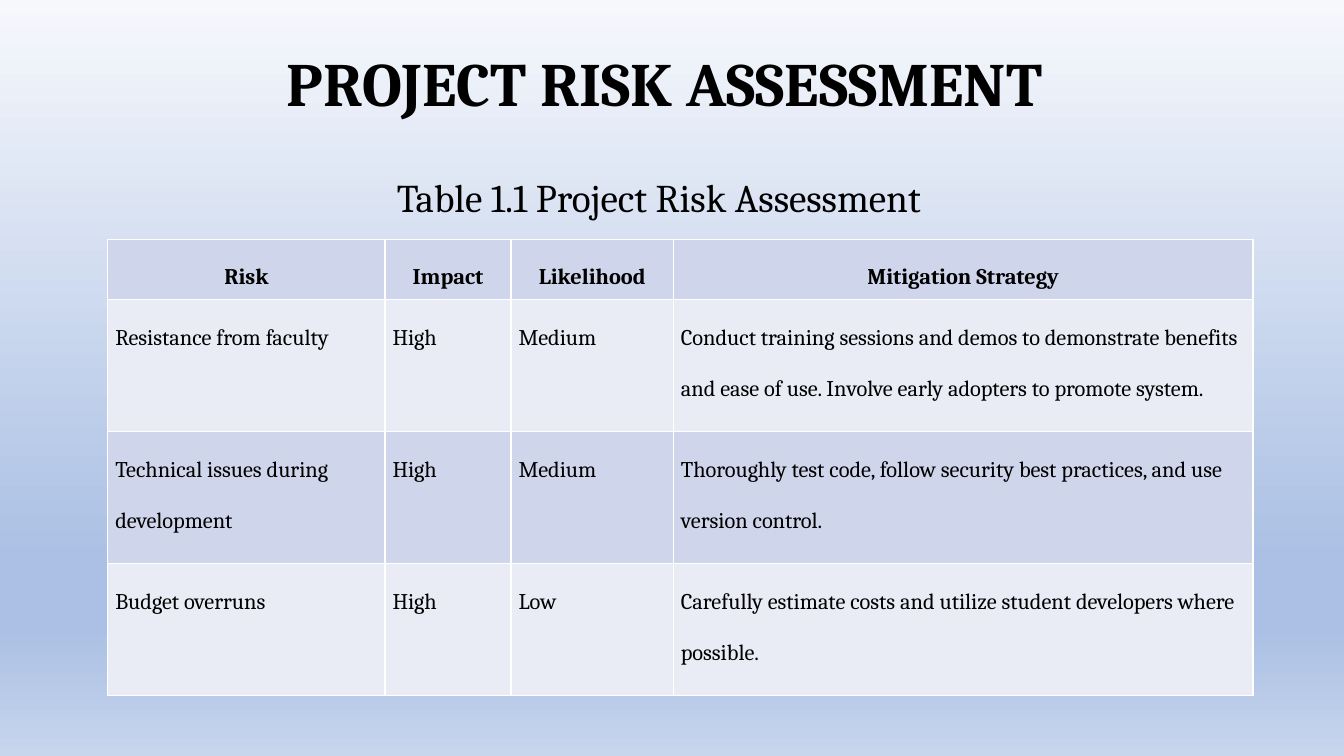
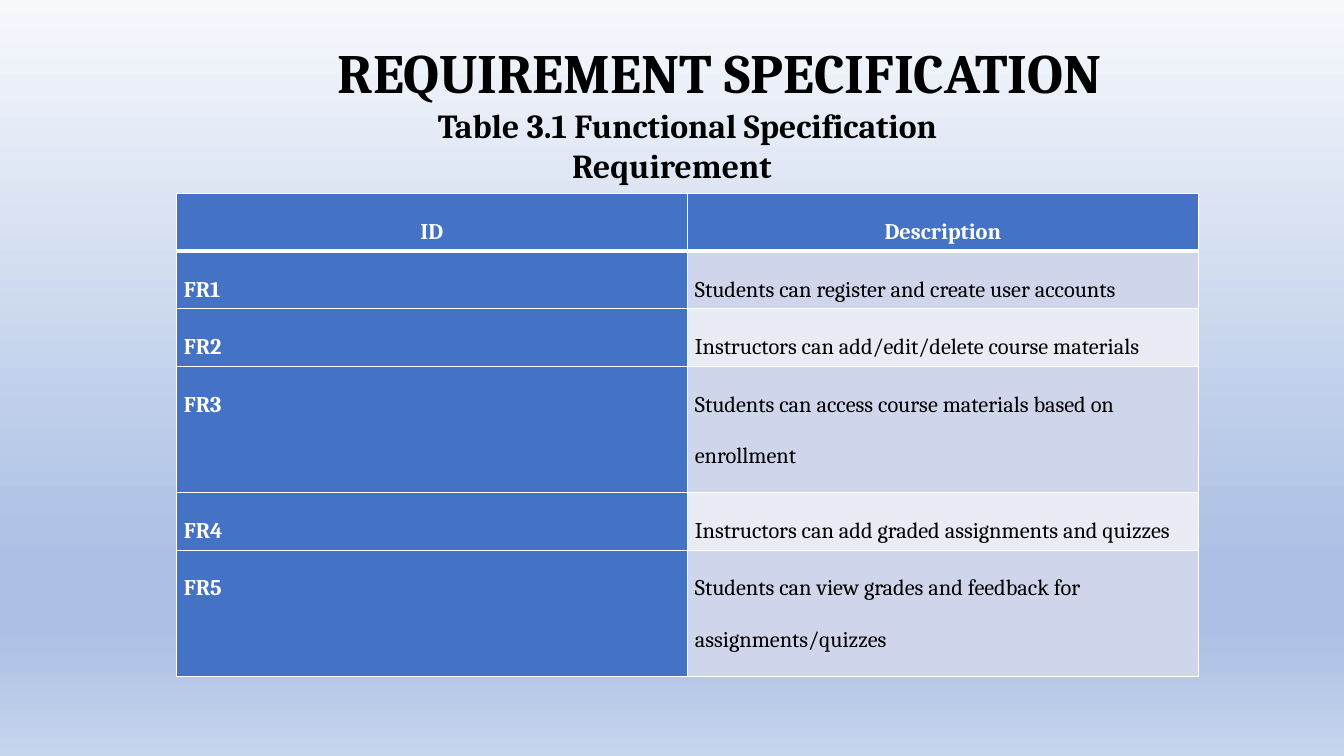
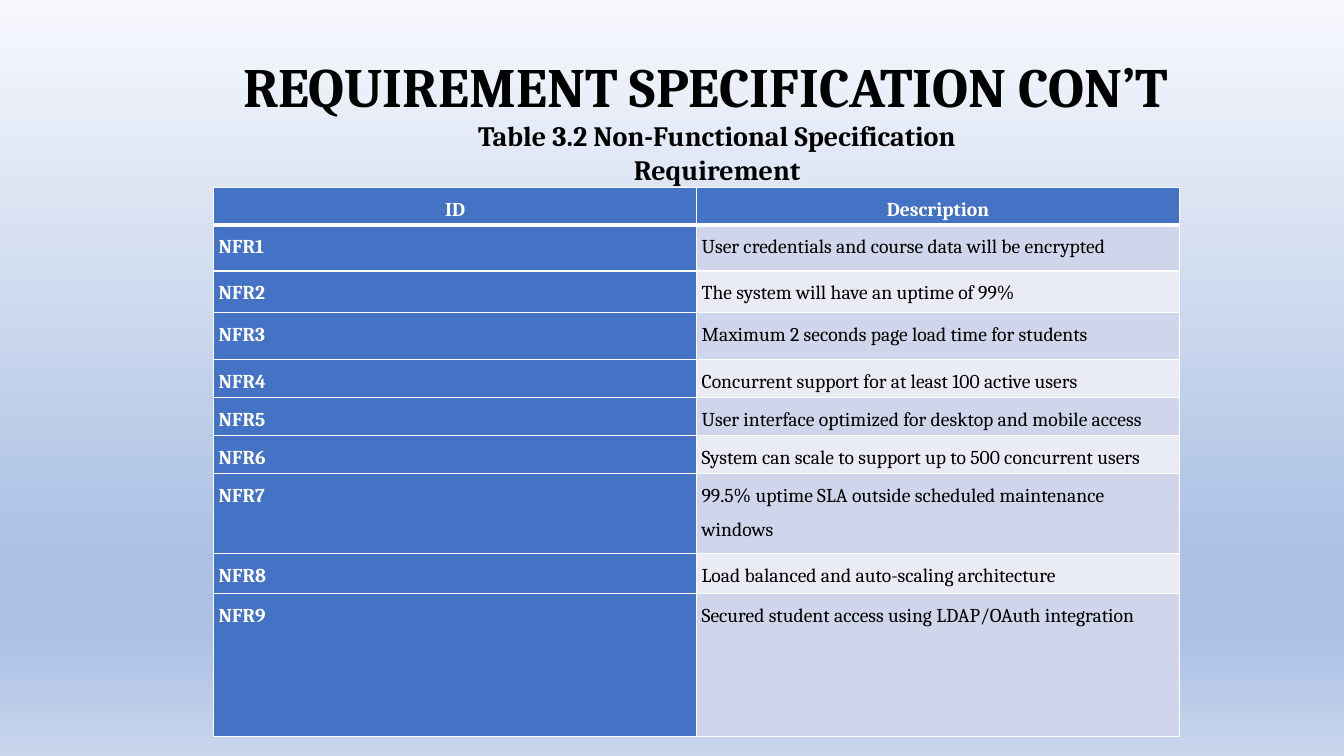
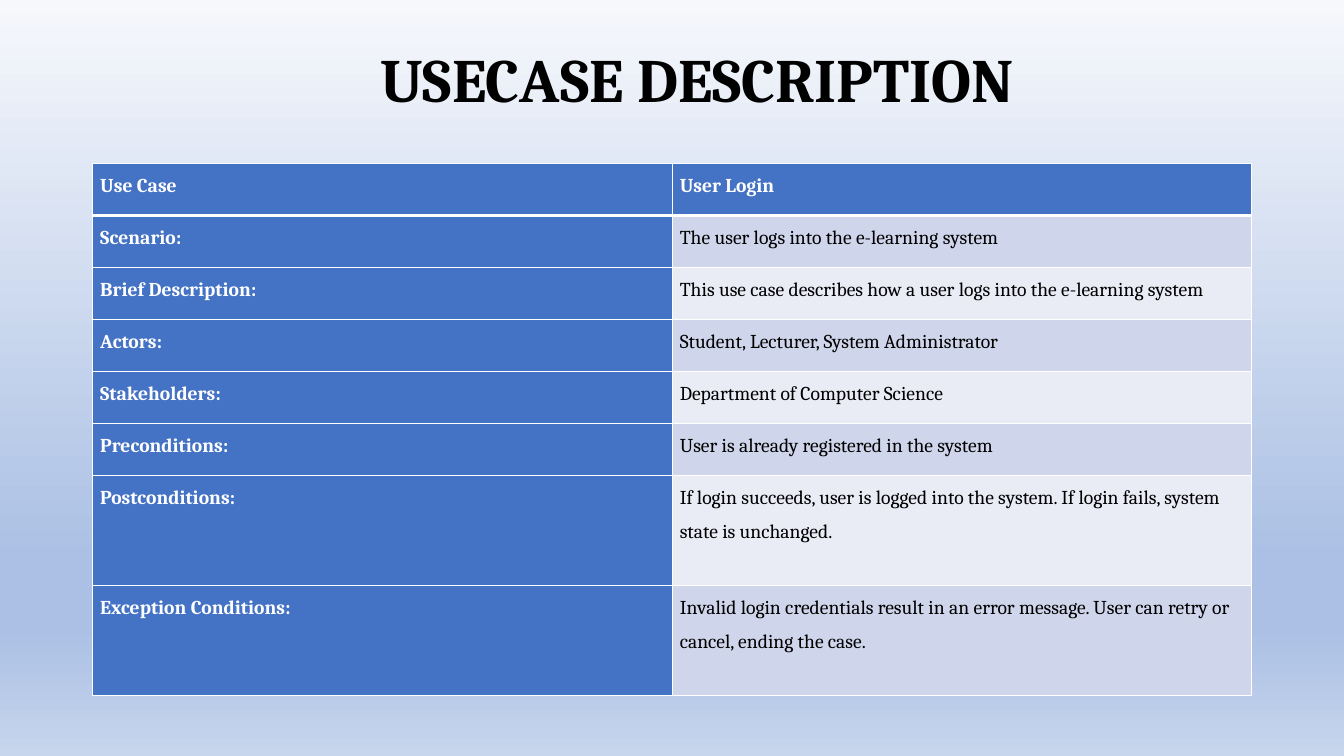
from lxml import etree
from pptx import Presentation
from pptx.dml.color import RGBColor as RGB
from pptx.enum.text import MSO_ANCHOR as ANCHOR, MSO_AUTO_SIZE as FIT, PP_ALIGN as ALIGN
from pptx.oxml import parse_xml
from pptx.oxml.ns import nsdecls, qn
from pptx.util import Pt

COLORS = {
    "text": "000000", "white": "FFFFFF", "accent": "4472C4",
    "band": "CFD5EA", "pale": "E9EBF5",
    "sky": "F6F8FC", "haze": "ABC0E4", "ground": "C7D5ED",
}
BACKDROP = [(0, "sky"), (74, "haze"), (83, "haze"), (100, "ground")]
FONT = "Cambria"


def apply(target, formats):
    for name, value in formats.items():
        setattr(target, name, value)


class Deck:
    def __init__(self):
        self.prs = Presentation()
        apply(self.prs, {"slide_width": Pt(960), "slide_height": Pt(540)})
        self.s = None
        self.backdrop()

    def backdrop(self):
        """Give the master a gradient that runs from top to bottom."""
        master = self.prs.slide_master
        fill = master.background.fill
        fill.gradient()
        fill.gradient_angle = 270
        stops = next(master.element.iter(qn("a:gsLst")))
        for stop in list(stops):
            stops.remove(stop)
        for pos, color in BACKDROP:
            stop = etree.SubElement(stops, qn("a:gs"), pos=str(pos * 1000))
            etree.SubElement(stop, qn("a:srgbClr"), val=COLORS[color])

    def slide(self):
        self.s = self.prs.slides.add_slide(self.prs.slide_layouts[6])

    def put_text(self, tf, text, size, color="text", bold=False, **formats):
        p = tf.paragraphs[0]
        apply(p, formats)
        r = p.add_run()
        r.text = text
        apply(r.font, {"name": FONT, "size": Pt(size), "bold": bold})
        r.font.color.rgb = RGB.from_string(COLORS[color])
        return p

    def textbox(self, box, **formats):
        tf = self.s.shapes.add_textbox(*map(Pt, box)).text_frame
        apply(tf, {"word_wrap": True, "vertical_anchor": ANCHOR.MIDDLE, **formats})
        return tf

    def title(self, text, left, top, width=702, size=44):
        tf = self.textbox((left, top, width, 101))
        self.put_text(tf, text, size, bold=True, alignment=ALIGN.CENTER, line_spacing=0.9)

    def caption(self, text, box, size, indent=0):
        tf = self.textbox(box, auto_size=FIT.SHAPE_TO_FIT_TEXT)
        p = self.put_text(tf, text, size, bold=True, alignment=ALIGN.CENTER)
        if indent:
            p._p.get_or_add_pPr().set("indent", str(Pt(indent)))

    def plain_caption(self, text, box):
        tf = self.textbox(box, vertical_anchor=ANCHOR.TOP)
        self.put_text(tf, text, 28)

    def borders(self, cell, top=1, bottom=1):
        tc_pr = cell._tc.get_or_add_tcPr()
        for i, (side, width) in enumerate(zip("LRTB", (1, 1, top, bottom))):
            tc_pr.insert(i, parse_xml(
                f'<a:ln{side} {nsdecls("a")} w="{Pt(width)}"><a:solidFill>'
                f'<a:srgbClr val="{COLORS["white"]}"/></a:solidFill></a:ln{side}>'))

    def table(self, rows, left, top, cols, heights, size, spacing,
              inset=5.4, accent=True, center_head=True):
        """Draw a banded table; accent colours the header row and first column."""
        frame = self.s.shapes.add_table(len(rows), len(cols), Pt(left), Pt(top),
                                        Pt(sum(cols)), Pt(sum(heights)))
        tbl = frame.table
        apply(tbl, {"first_row": False, "horz_banding": False})
        for col, width in zip(tbl.columns, cols):
            col.width = Pt(width)
        for i, (row, height) in enumerate(zip(rows, heights)):
            tbl.rows[i].height = Pt(height)
            for j, text in enumerate(row):
                strong = accent and (i == 0 or j == 0)
                banded = (i % 2 == 1) == accent
                fill = "accent" if strong else "band" if banded else "pale"
                cell = tbl.cell(i, j)
                apply(cell, {"margin_left": Pt(inset), "margin_right": Pt(inset),
                             "margin_top": 0, "margin_bottom": 0})
                cell.fill.solid()
                cell.fill.fore_color.rgb = RGB.from_string(COLORS[fill])
                self.borders(cell, top=3 if accent and i == 1 else 1,
                             bottom=3 if accent and i == 0 else 1)
                centered = center_head and i == 0
                self.put_text(cell.text_frame, text, size, "white" if strong else "text",
                              strong or i == 0, line_spacing=spacing,
                              alignment=ALIGN.CENTER if centered else ALIGN.LEFT)


RISKS = [
    ("Risk", "Impact", "Likelihood", "Mitigation Strategy"),
    ("Resistance from faculty", "High", "Medium",
     "Conduct training sessions and demos to demonstrate benefits and ease of use. "
     "Involve early adopters to promote system."),
    ("Technical issues during development", "High", "Medium",
     "Thoroughly test code, follow security best practices, and use version control."),
    ("Budget overruns", "High", "Low",
     "Carefully estimate costs and utilize student developers where possible."),
]
FUNCTIONAL = [
    "Students can register and create user accounts",
    "Instructors can add/edit/delete course materials",
    "Students can access course materials based on enrollment",
    "Instructors can add graded assignments and quizzes",
    "Students can view grades and feedback for assignments/quizzes",
]
NON_FUNCTIONAL = [
    "User credentials and course data will be encrypted",
    "The system will have an uptime of 99%",
    "Maximum 2 seconds page load time for students",
    "Concurrent support for at least 100 active users",
    "User interface optimized for desktop and mobile access",
    "System can scale to support up to 500 concurrent users",
    "99.5% uptime SLA outside scheduled maintenance windows",
    "Load balanced and auto-scaling architecture",
    "Secured student access using LDAP/OAuth integration",
]
USE_CASE = [
    ("Use Case", "User Login"),
    ("Scenario:", "The user logs into the e-learning system"),
    ("Brief Description:",
     "This use case describes how a user logs into the e-learning system"),
    ("Actors:", "Student, Lecturer, System Administrator"),
    ("Stakeholders:", "Department of Computer Science"),
    ("Preconditions:", "User is already registered in the system"),
    ("Postconditions:",
     "If login succeeds, user is logged into the system. "
     "If login fails, system state is unchanged."),
    ("Exception Conditions:",
     "Invalid login credentials result in an error message. "
     "User can retry or cancel, ending the case."),
]


def numbered(prefix, descriptions):
    rows = [(f"{prefix}{n}", text) for n, text in enumerate(descriptions, 1)]
    return [("ID", "Description")] + rows


def main():
    deck = Deck()

    deck.slide()
    deck.title("PROJECT RISK ASSESSMENT", 124, 11.5)
    deck.table(RISKS, 77, 170.8, [198, 90, 116, 414], [43] + [94.3] * 3, 16, 2,
               accent=False)
    deck.plain_caption("Table 1.1 Project Risk Assessment", (276.5, 120, 407.5, 63))

    deck.slide()
    deck.title("REQUIREMENT SPECIFICATION", 163, 3.6, size=39.6)
    deck.table(numbered("FR", FUNCTIONAL), 126, 138.2, [365] * 2,
               [41.2, 41.2, 41.2, 90, 41.2, 90], 16, 2)
    deck.caption("Table 3.1 Functional Specification Requirement",
                 (213, 85.7, 534, 36), 24, indent=22)

    deck.slide()
    deck.title("REQUIREMENT SPECIFICATION CON’T", 105, 13.7, 798, 39.6)
    deck.table(numbered("NFR", NON_FUNCTIONAL), 152.6, 134, [345] * 2,
               [26.6, 33, 29.6, 33.4, 27.2, 27.2, 27.2, 57.4, 28.4, 102.2],
               14, 1.5, inset=3.6)
    deck.caption("Table 3.2 Non-Functional Specification Requirement",
                 (278, 93, 468.5, 31.5), 20)

    deck.slide()
    deck.title("USECASE DESCRIPTION", 147, 8.6)
    deck.table(USE_CASE, 66.2, 116.7, [414] * 2, [37.2] * 6 + [78.5] * 2, 14, 1.5,
               center_head=False)

    deck.prs.save("out.pptx")


if __name__ == "__main__":
    main()
